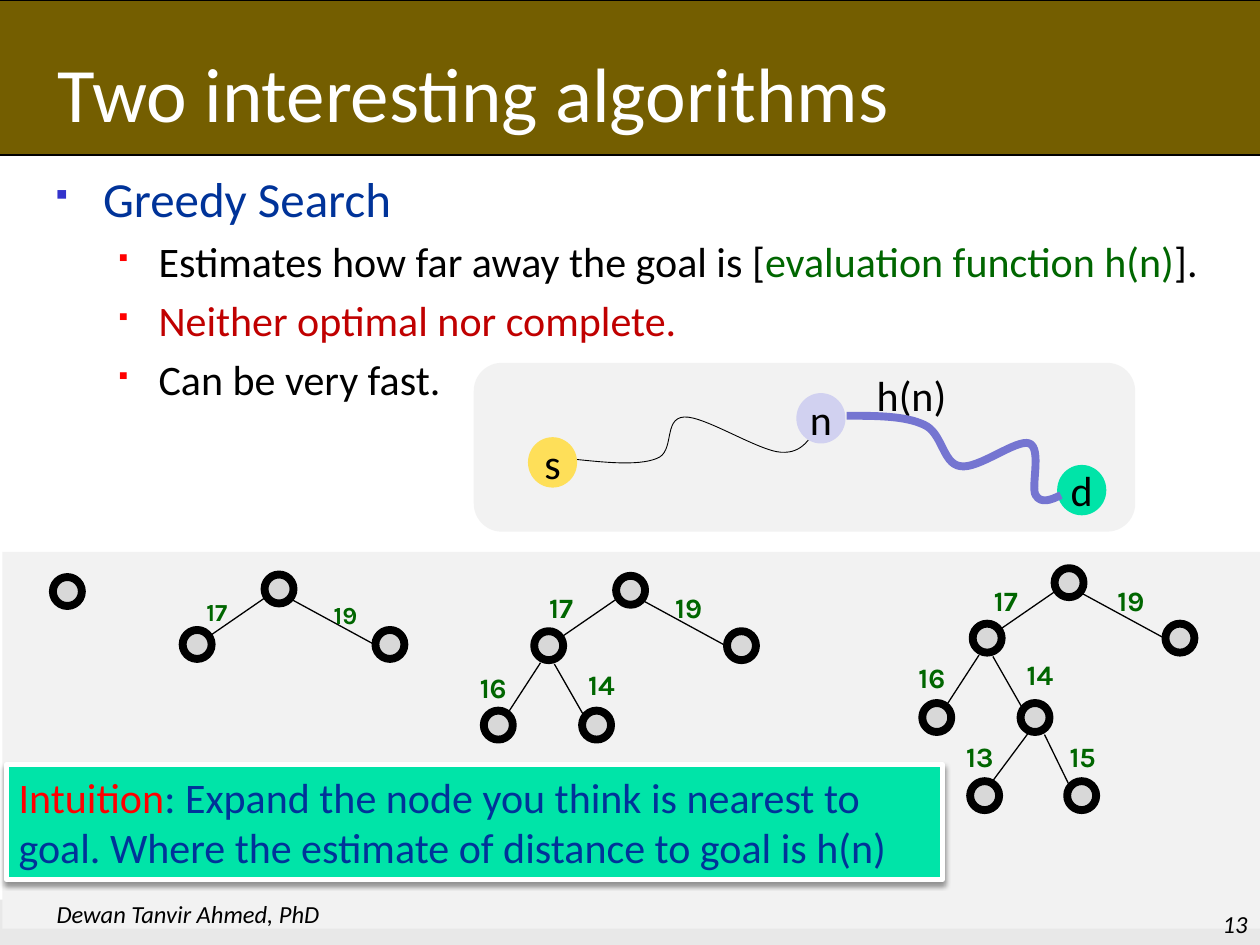
from lxml import etree
from pptx import Presentation
from pptx import util as u
from pptx.dml.color import RGBColor
from pptx.enum import shapes, text
from pptx.oxml import ns

Inches, Pt = u.Inches, u.Pt
BLACK = RGBColor(0x00, 0x00, 0x00)
WHITE = RGBColor(0xFF, 0xFF, 0xFF)
BROWN = RGBColor(0x74, 0x5E, 0x00)
STRIP = RGBColor(0xE8, 0xE8, 0xE8)
PANEL = RGBColor(0xF2, 0xF2, 0xF2)
NAVY = RGBColor(0x00, 0x33, 0x99)
GREEN = RGBColor(0x00, 0x66, 0x00)
CRIMSON = RGBColor(0xC0, 0x00, 0x00)
RED = RGBColor(0xFF, 0x00, 0x00)
BULLET_BLUE = RGBColor(0x33, 0x33, 0xCC)
MINT = RGBColor(0x00, 0xE4, 0xA8)
YELLOW = RGBColor(0xFE, 0xDF, 0x59)
LAVENDER = RGBColor(0xD1, 0xD1, 0xF0)
VIOLET = RGBColor(0x75, 0x75, 0xD1)
GRAY = RGBColor(0xC0, 0xC0, 0xC0)

presentation = Presentation()
presentation.slide_width, presentation.slide_height = Inches(10), Inches(7.5)
slide = presentation.slides.add_slide(presentation.slide_layouts[6])


def write(paragraph, content, size=24, color=BLACK, font="Calibri", bold=False,
          italic=False, align=text.PP_ALIGN.LEFT):
    """Fill a paragraph with a string or with (string, color) runs."""
    paragraph.alignment = align
    runs = [(content, color)] if isinstance(content, str) else content
    for words, run_color in runs:
        run = paragraph.add_run()
        run.text = words
        run.font.size, run.font.name = Pt(size), font
        run.font.bold, run.font.italic = bold, italic
        run.font.color.rgb = run_color


def add_box(box, kind=None, fill=None, line=None, width=0.75, wrap=True,
            anchor=text.MSO_ANCHOR.TOP):
    """Add a preset shape, or a text box when no kind is given."""
    place = [Inches(value) for value in box]
    if kind is None:
        shape = slide.shapes.add_textbox(*place)
    else:
        shape = slide.shapes.add_shape(kind, *place)
        shape.shadow.inherit = False
        shape.fill.solid()
        shape.fill.fore_color.rgb = fill
        if line is None:
            shape.line.fill.background()
        else:
            shape.line.color.rgb, shape.line.width = line, Pt(width)
    shape.text_frame.word_wrap = wrap
    shape.text_frame.vertical_anchor = anchor
    return shape


RECTANGLE = shapes.MSO_SHAPE.RECTANGLE
OVAL = shapes.MSO_SHAPE.OVAL
BOTTOM, MIDDLE = text.MSO_ANCHOR.BOTTOM, text.MSO_ANCHOR.MIDDLE

# Bands and panels
add_box((0, 7.14, 10, 0.36), RECTANGLE, STRIP)
add_box((-0.2, 0, 10.39, 1.23), RECTANGLE, BROWN, BLACK)
add_box((3.76, 2.88, 5.25, 1.34), shapes.MSO_SHAPE.ROUNDED_RECTANGLE, PANEL)
add_box((0.02, 4.38, 10, 2.99), RECTANGLE, PANEL)

# Title
title = add_box((0.36, 0.31, 8.61, 0.88))
write(title.text_frame.paragraphs[0], "Two interesting algorithms", size=44, color=WHITE)

# Bulleted list: level, size, space before, runs
bullets = [
    (0, 28, 2.5, [("Greedy Search", NAVY)]),
    (1, 24, 4.8, [("Estimates how far away the goal is [", BLACK),
                  ("evaluation function h(n)", GREEN), ("].", BLACK)]),
    (1, 24, 4.8, [("Neither optimal nor complete.", CRIMSON)]),
    (1, 24, 4.8, [("Can be very fast.", BLACK)]),
]
level_styles = [(0.38, 0.38, BULLET_BLUE, 60), (0.82, 0.32, RED, 55)]
body = add_box((0.34, 1.29, 9.66, 2.06)).text_frame
for index, (level, size, space, runs) in enumerate(bullets):
    paragraph = body.add_paragraph() if index else body.paragraphs[0]
    write(paragraph, runs, size=size)
    paragraph.level, paragraph.space_before = level, Pt(space)
    margin, hanging, color, percent = level_styles[level]
    properties = paragraph._p.get_or_add_pPr()
    properties.set("marL", str(Inches(margin)))
    properties.set("indent", str(-Inches(hanging)))
    bullet_color = etree.SubElement(properties, ns.qn("a:buClr"))
    etree.SubElement(bullet_color, ns.qn("a:srgbClr"), val=str(color))
    etree.SubElement(properties, ns.qn("a:buSzPct"), val=str(percent * 1000))
    # In Wingdings this character is the filled square
    etree.SubElement(properties, ns.qn("a:buFont"), typeface="Wingdings", charset="2")
    etree.SubElement(properties, ns.qn("a:buChar"), char="§")

# Intuition box with a soft shadow
intuition = add_box((0.05, 6.07, 7.43, 0.91), RECTANGLE, MINT, WHITE, 3)
write(intuition.text_frame.paragraphs[0], [
    ("Intuition", RED),
    (": Expand the node you think is nearest to goal. "
     "Where the estimate of distance to goal is h(n)", NAVY)])
effects = intuition._element.spPr.find(ns.qn("a:effectLst"))
shadow = etree.SubElement(effects, ns.qn("a:outerShdw"), blurRad=str(Pt(3.1)),
                          dist=str(Pt(1.6)), dir="5400000", rotWithShape="0")
shadow_color = etree.SubElement(shadow, ns.qn("a:srgbClr"), val=str(BLACK))
etree.SubElement(shadow_color, ns.qn("a:alpha"), val="38000")

# Search trees: all offsets are measured from the root's corner
node_offsets = [(0, 0), (-0.65, 0.44), (0.88, 0.44), (-1.05, 1.07), (-0.27, 1.07),
                (-0.67, 1.69), (0.1, 1.69)]
edge_offsets = [
    (0.01, 0.18, -0.44, 0.49), (0.2, 0.19, 0.88, 0.56),
    (-0.6, 0.69, -0.86, 1.09), (-0.49, 0.7, -0.25, 1.12),
    (-0.21, 1.31, -0.5, 1.7), (-0.08, 1.32, 0.12, 1.73),
]
# Root left, root top, label size, labels with offsets
trees = [
    (0.42, 4.58, 16, []),
    (2.1, 4.56, 14, [("17", -0.56, 0.13), ("19", 0.45, 0.15)]),
    (4.89, 4.57, 16, [("17", -0.63, 0.07), ("19", 0.37, 0.07),
                      ("16", -1.18, 0.7), ("14", -0.32, 0.68)]),
    (8.37, 4.51, 16, [("17", -0.58, 0.07), ("19", 0.4, 0.07),
                      ("16", -1.18, 0.68), ("14", -0.32, 0.66),
                      ("13", -0.8, 1.31), ("15", 0.02, 1.31)]),
]
for left, top, size, labels in trees:
    for dx, dy in node_offsets[:len(labels) + 1]:
        node = add_box((left + dx, top + dy, 0.23, 0.23), OVAL, GRAY, BLACK, 4.5)
        node_color = node._element.spPr.find(ns.qn("a:solidFill"))[0]
        etree.SubElement(node_color, ns.qn("a:alpha"), val="50000")
    for x1, y1, x2, y2 in edge_offsets[:len(labels)]:
        edge = slide.shapes.add_connector(
            shapes.MSO_CONNECTOR.STRAIGHT, Inches(left + x1), Inches(top + y1),
            Inches(left + x2), Inches(top + y2))
        edge.line.color.rgb, edge.line.width = BLACK, Pt(0.75)
        etree.SubElement(edge._element.spPr, ns.qn("a:effectLst"))
    for cost, dx, dy in labels:
        label = add_box((left + dx, top + dy, 0.49, 0.37), wrap=False)
        write(label.text_frame.paragraphs[0], cost, size=size, color=GREEN,
              font="Karla", bold=True)

# Footer and slide number
footer = add_box((0.35, 6.92, 8.42, 0.5), anchor=BOTTOM)
write(footer.text_frame.paragraphs[0], "Dewan Tanvir Ahmed, PhD", size=14, italic=True)
number = add_box((7.92, 7, 2.08, 0.5), anchor=BOTTOM)
write(number.text_frame.paragraphs[0], "13", size=14, italic=True, align=text.PP_ALIGN.RIGHT)

# Route nodes
stops = []
for name, left, top, color in [("s", 4.19, 3.47, YELLOW), ("n", 6.32, 3.12, LAVENDER),
                               ("d", 8.39, 3.69, MINT)]:
    stop = add_box((left, top, 0.39, 0.4), OVAL, color, wrap=False, anchor=MIDDLE)
    write(stop.text_frame.paragraphs[0], name, align=text.PP_ALIGN.CENTER)
    stops.append(stop)
estimate = add_box((6.86, 2.88, 0.79, 0.5), wrap=False)
write(estimate.text_frame.paragraphs[0], "h(n)")

# Route curves: cubic Bezier points, three per segment after the start
travelled = [(4.51, 3.64), (4.79, 3.67), (5.06, 3.7), (5.21, 3.64), (5.36, 3.59),
             (5.26, 3.32), (5.43, 3.31), (5.59, 3.3), (6.02, 3.58), (6.2, 3.59),
             (6.37, 3.6), (6.43, 3.48), (6.5, 3.36)]
remaining = [(6.72, 3.3), (6.95, 3.3), (7.18, 3.3), (7.33, 3.37), (7.48, 3.43),
             (7.48, 3.68), (7.62, 3.7), (7.76, 3.73), (8.07, 3.48), (8.17, 3.52),
             (8.27, 3.56), (8.18, 3.87), (8.22, 3.93), (8.26, 4), (8.34, 3.97), (8.42, 3.93)]
curves = []
for points, color, width in [(travelled, BLACK, 0.5), (remaining, VIOLET, 4.5)]:
    points = [(Inches(x), Inches(y)) for x, y in points]
    builder = slide.shapes.build_freeform(*points[0])
    builder.add_line_segments(points[3::3], close=False)
    curve = builder.convert_to_shape()
    curve.shadow.inherit = False
    curve.fill.background()
    curve.line.color.rgb, curve.line.width = color, Pt(width)
    # Turn each straight segment into a Bezier with its two control points
    for index, segment in enumerate(list(curve._element.iter(ns.qn("a:lnTo")))):
        segment.tag = ns.qn("a:cubicBezTo")
        segment.remove(segment[0])
        for x, y in points[3 * index + 1:3 * index + 4]:
            etree.SubElement(segment, ns.qn("a:pt"), x=str(x - curve.left),
                             y=str(y - curve.top))
    curves.append(curve)
# The thin route passes beneath the round nodes
stops[0]._element.addprevious(curves[0]._element)

presentation.save("out.pptx")
